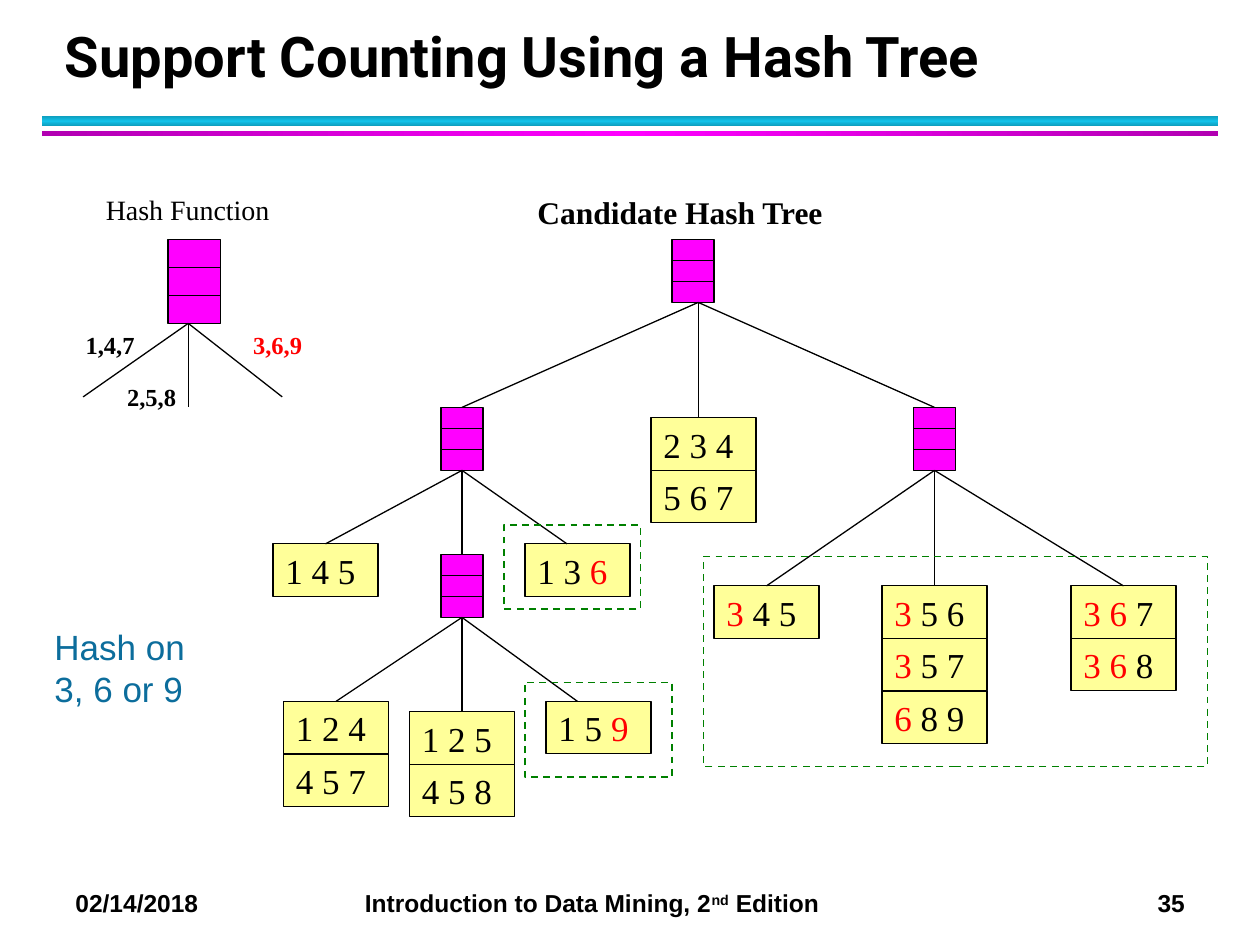
from copy import deepcopy

from lxml import etree
from pptx import Presentation
from pptx.dml.color import RGBColor
from pptx.enum.dml import MSO_LINE
from pptx.enum.shapes import MSO_CONNECTOR, MSO_SHAPE
from pptx.enum.text import MSO_ANCHOR, PP_ALIGN
from pptx.oxml.ns import qn
from pptx.util import Pt

RECT = MSO_SHAPE.RECTANGLE
STRAIGHT = MSO_CONNECTOR.STRAIGHT
DASH = MSO_LINE.DASH
LEFT = PP_ALIGN.LEFT
MIDDLE, BOTTOM, TOP = MSO_ANCHOR.MIDDLE, MSO_ANCHOR.BOTTOM, MSO_ANCHOR.TOP
TOP_SIDE, BOTTOM_SIDE = 0, 2
BLACK, RED, MAGENTA, YELLOW = "000000", "FF0000", "FF00FF", "FFFF99"
GREEN, BLUE = "008000", "0C6D9C"
SERIF, SANS, HEADING = "Times New Roman", "Arial", "Roboto"

# Content: left, top, width, height in points
TITLE = "Support Counting Using a Hash Tree"
RULES = [
    ((24, 66.2, 672, 6), ("0E9BBA", "12C2E9", "0E9BBA"), 90),
    ((24, 74.9, 672, 2.9), ("B200B2", MAGENTA, "B200B2"), 0),
]
LABELS = [  # text, box, font, size, colour, bold
    ("Hash Function", (53.4, 106.6, 108.7, 26.6), SERIF, 16, BLACK, False),
    ("Candidate Hash Tree", (300, 106.6, 179.3, 28.8), SERIF, 18, BLACK, True),
    ("1,4,7", (41.8, 185, 42.5, 23.8), SERIF, 14, BLACK, True),
    ("2,5,8", (65.5, 214.6, 42.5, 23.8), SERIF, 14, BLACK, True),
    ("3,6,9", (137.5, 185, 42.5, 23.8), SERIF, 14, RED, True),
]
HASH_NOTE = "Hash on 3, 6 or 9"
FOOTER = [("02/14/2018\tIntroduction to Data Mining, 2", 0), ("nd", 30000),
          (" Edition\t35", 0)]

NODE_SIZE = (24, 36)
LEAF_W, LEAF_H = 60, 30
NODES = {"root": (384, 136.8), "left": (252, 232.8),
         "right": (522, 232.8), "middle": (252, 316.8)}
# Each leaf stacks its candidates; digits between bars are red
LEAVES = {
    "145": (156, 310.8, ["1 4 5"]),
    "136": (300, 310.8, ["1 3 |6"]),
    "234": (372, 238.8, ["2 3 4", "5 6 7"]),
    "345": (408, 334.8, ["|3| 4 5"]),
    "356": (504, 334.8, ["|3| 5 6", "|3| 5 7", "|6| 8 9"]),
    "367": (612, 334.8, ["|3 6| 7", "|3 6| 8"]),
    "124": (162, 400.8, ["1 2 4", "4 5 7"]),
    "125": (234, 406.8, ["1 2 5", "4 5 8"]),
    "159": (312, 400.8, ["1 5 |9"]),
}
# Parent: children, plus the x of an end that is off the middle of its side
BRANCHES = {
    "root": (399, [("left", None), ("234", 399), ("right", None)]),
    "left": (None, [("145", None), ("middle", None), ("136", 324)]),
    "right": (None, [("345", None), ("356", None), ("367", None)]),
    "middle": (None, [("124", None), ("125", None), ("159", 330)]),
}
HASH_NODE = (96, 136.8, 30, 48)
HASH_BRANCHES = (107.6, 184.8, [(47.5, 226.8), (107.6, 232.6), (161.3, 226.8)])
MATCH_FRAMES = [(300, 390, 84, 54), (402, 318, 288, 120), (288, 300, 78, 48)]


def rgb(value):
    return RGBColor.from_string(value)


def box(area, fill=None, line=None, width=0.75):
    shape = slide.shapes.add_shape(RECT, *map(Pt, area))
    shape.shadow.inherit = False
    if fill:
        shape.fill.solid()
        shape.fill.fore_color.rgb = rgb(fill)
    else:
        shape.fill.background()
    if line:
        shape.line.color.rgb = rgb(line)
        shape.line.width = Pt(width)
    else:
        shape.line.fill.background()
    return shape


def segment(x1, y1, x2, y2):
    line = slide.shapes.add_connector(STRAIGHT, Pt(x1), Pt(y1), Pt(x2), Pt(y2))
    line.line.color.rgb = rgb(BLACK)
    line.line.width = Pt(0.75)
    etree.SubElement(line._element.spPr, qn("a:effectLst"))
    return line


def add_run(paragraph, text, font, size, color=BLACK, bold=False):
    run = paragraph.add_run()
    run.text = text
    run.font.name, run.font.size, run.font.bold = font, Pt(size), bold
    run.font.color.rgb = rgb(color)
    return run


def text_area(area, wrap=False, anchor=TOP):
    frame = slide.shapes.add_textbox(*map(Pt, area)).text_frame
    frame.word_wrap, frame.vertical_anchor = wrap, anchor
    return frame.paragraphs[0]


def hash_node(x, y, w, h):
    node = box((x, y, w, h), MAGENTA, BLACK)
    for third in (1, 2):
        level = y + h * third / 3
        segment(x, level, x + w, level)
    return node


def candidate(x, y, marked):
    cell = box((x, y, LEAF_W, LEAF_H), YELLOW, BLACK)
    frame = cell.text_frame
    frame.word_wrap, frame.vertical_anchor = False, MIDDLE
    paragraph = frame.paragraphs[0]
    paragraph.alignment = LEFT
    for i, part in enumerate(marked.split("|")):
        if part:
            add_run(paragraph, part, SERIF, 20, RED if i % 2 else BLACK)
    return cell


prs = Presentation()
prs.slide_width, prs.slide_height = Pt(720), Pt(540)
slide = prs.slides.add_slide(prs.slide_layouts[6])

# Title and the two gradient rules under it
for area, colors, angle in RULES:
    rule = box(area)
    rule.fill.gradient()
    rule.fill.gradient_angle = angle
    stops = rule._element.spPr.find(qn("a:gradFill")).find(qn("a:gsLst"))
    stops.insert(1, deepcopy(stops[0]))
    for stop, color, position in zip(rule.fill.gradient_stops, colors, (0, 0.5, 1)):
        stop.color.rgb = rgb(color)
        stop.position = position
heading = text_area((30, 12.2, 652.3, 41.8), True, BOTTOM)
heading.line_spacing = Pt(36)
add_run(heading, TITLE, HEADING, 32, bold=True)

# Tree nodes and leaves, each kept with its top left corner and size
parts = {}
for key, (x, y) in NODES.items():
    parts[key] = (hash_node(x, y, *NODE_SIZE), x, y, *NODE_SIZE)
for key, (x, y, candidates) in LEAVES.items():
    cells = [candidate(x, y + i * LEAF_H, c) for i, c in enumerate(candidates)]
    parts[key] = (cells[0], x, y, LEAF_W, LEAF_H)

# Tree branches
for parent_key, (start_x, children) in BRANCHES.items():
    parent, px, py, pw, ph = parts[parent_key]
    for child_key, end_x in children:
        child, cx, cy, cw, ch = parts[child_key]
        branch = segment(start_x or px + pw / 2, py + ph, end_x or cx + cw / 2, cy)
        if start_x is None:
            branch.begin_connect(parent, BOTTOM_SIDE)
        if end_x is None:
            branch.end_connect(child, TOP_SIDE)

# Hash function key
hash_node(*HASH_NODE)
fork_x, fork_y, tips = HASH_BRANCHES
for tip in tips:
    segment(fork_x, fork_y, *tip)

# Labels, note and frames around the matches
for text, area, *style in LABELS:
    add_run(text_area(area), text, *style)
add_run(text_area((24, 354, 90, 55.4), True), HASH_NOTE, SANS, 20, BLUE)
for area in MATCH_FRAMES:
    box(area, line=GREEN, width=1).line.dash_style = DASH

# Footer, spread by tab stops
footer = text_area((36, 504, 672, 24.5), True)
tabs = etree.SubElement(footer._p.get_or_add_pPr(), qn("a:tabLst"))
for position, align in ((165.4, "l"), (634, "r")):
    etree.SubElement(tabs, qn("a:tab"), pos=str(Pt(position)), algn=align)
for text, baseline in FOOTER:
    run = add_run(footer, text, SANS, 14, bold=True)
    if baseline:
        run._r.get_or_add_rPr().set("baseline", str(baseline))

prs.save("out.pptx")
